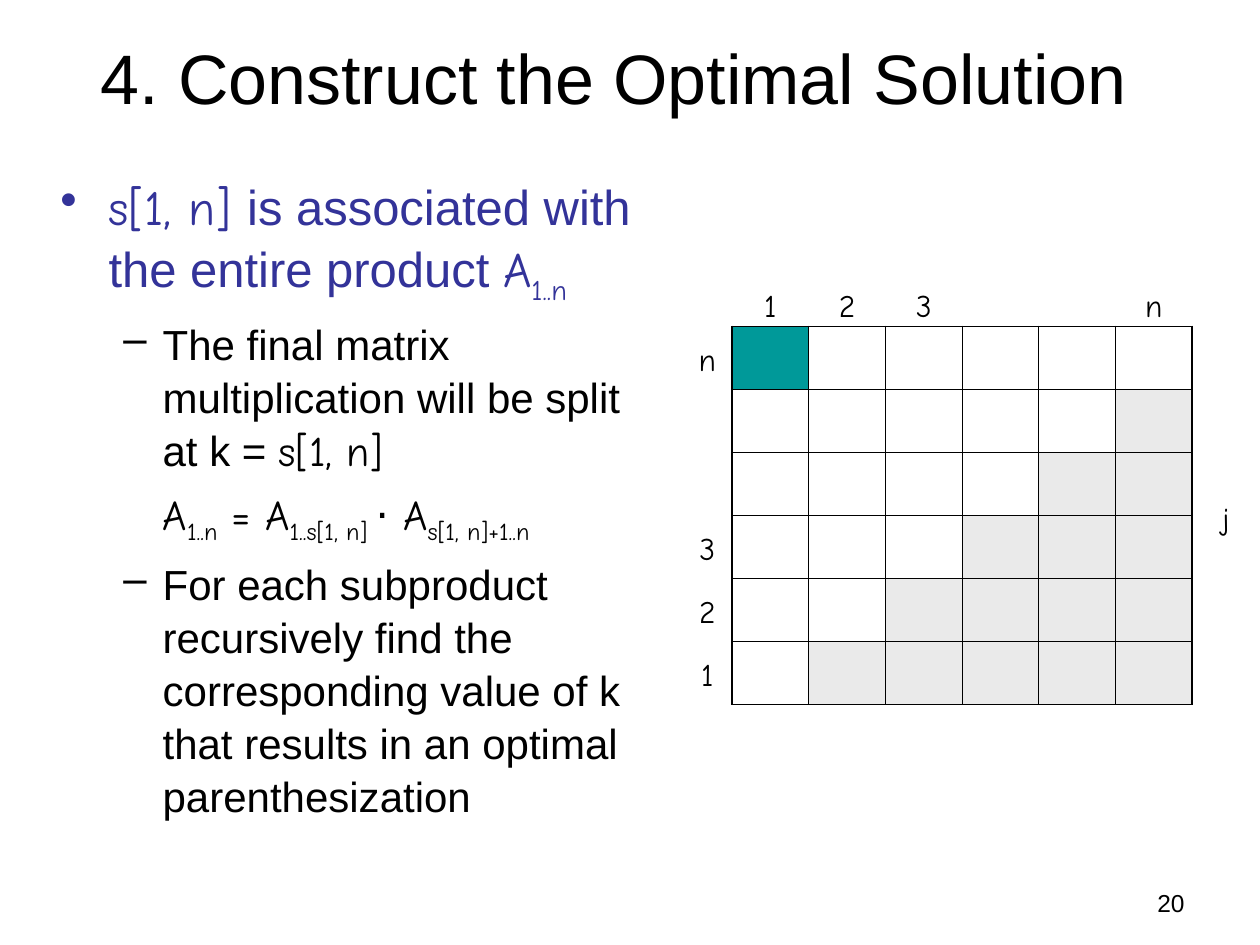
import pptx
import pptx.dml.color
import pptx.enum.text
import pptx.oxml
import pptx.oxml.ns
import pptx.util
from pptx.util import Cm

BLACK = pptx.dml.color.RGBColor(0x00, 0x00, 0x00)
INDIGO = pptx.dml.color.RGBColor(0x33, 0x33, 0x99)
TEAL = pptx.dml.color.RGBColor(0x00, 0x99, 0x99)
GREY = pptx.dml.color.RGBColor(0xEA, 0xEA, 0xEA)
SANS = "Arial"
COMIC = "Comic Neue"
ALIGN = pptx.enum.text.PP_ALIGN


def add_text(left, top, width, height, text, size, font_name, alignment, wrap=True):
    """Add a one-paragraph text box, measured in centimetres."""
    shape = slide.shapes.add_textbox(Cm(left), Cm(top), Cm(width), Cm(height))
    shape.text_frame.word_wrap = wrap
    paragraph = shape.text_frame.paragraphs[0]
    paragraph.text = text
    paragraph.alignment = alignment
    paragraph.font.size = pptx.util.Pt(size)
    paragraph.font.name = font_name
    paragraph.font.color.rgb = BLACK
    return shape


def add_xml(parent, xml):
    """Append a DrawingML element given as text."""
    namespace = pptx.oxml.ns.nsdecls("a")
    parent.append(pptx.oxml.parse_xml(xml.replace(" ", f" {namespace} ", 1)))


presentation = pptx.Presentation()
presentation.slide_width = Cm(25.4)
presentation.slide_height = Cm(19.05)
slide = presentation.slides.add_slide(presentation.slide_layouts[6])

# Slide number and title
add_text(18.21, 17.78, 5.92, 0.89, "20", 14, SANS, ALIGN.RIGHT)
title = add_text(0.94, 0.28, 22.86, 2.51, "4. Construct the Optimal Solution",
                 40, SANS, ALIGN.CENTER)
title.text_frame.vertical_anchor = pptx.enum.text.MSO_ANCHOR.MIDDLE

# Body: bullet, size, colour, space before, left margin, first-line indent,
# and runs of (text, font, subscript)
body_paragraphs = [
    ("•", 28, INDIGO, 7, 0.97, -0.97, [
        ("s[1, n] ", COMIC, False),
        ("is associated with the entire product ", SANS, False),
        ("A", COMIC, False),
        ("1..n", COMIC, True)]),
    ("–", 24, BLACK, 6, 2.06, -0.79, [
        ("The final matrix multiplication will be split at k = ", SANS, False),
        ("s[1, n]", COMIC, False)]),
    (None, 24, BLACK, 6, 2.06, 0, [
        ("A", COMIC, False),
        ("1..n", COMIC, True),
        (" = A", COMIC, False),
        ("1..s[1, n] ", COMIC, True),
        ("⋅", SANS, False),
        (" A", COMIC, False),
        ("s[1, n]+1..n", COMIC, True)]),
    ("–", 24, BLACK, 6, 2.06, -0.79, [
        ("For each subproduct recursively find the corresponding value of k "
         "that results in an optimal parenthesization", SANS, False)]),
]
body = slide.shapes.add_textbox(Cm(0.97), Cm(3.38), Cm(12.45), Cm(14.1)).text_frame
body.word_wrap = True
for index, (bullet, size, color, space, margin, indent, runs) in enumerate(body_paragraphs):
    paragraph = body.add_paragraph() if index else body.paragraphs[0]
    paragraph.level = 1 if index else 0
    paragraph.line_spacing = 1.05
    paragraph.space_before = pptx.util.Pt(space)
    properties = paragraph._p.get_or_add_pPr()
    properties.set("marL", str(Cm(margin)))
    properties.set("indent", str(Cm(indent)))
    if bullet:
        add_xml(properties, f'<a:buClr ><a:srgbClr val="{color}"/></a:buClr>')
        add_xml(properties, f'<a:buChar char="{bullet}"/>')
    paragraph.font.size = pptx.util.Pt(size)
    paragraph.font.color.rgb = color
    for text, font_name, subscript in runs:
        run = paragraph.add_run()
        run.text = text
        run.font.name = font_name
        if subscript:
            run.font._element.set("baseline", "-25000")

# Matrix: teal target cell, grey below the anti-diagonal
COUNT = 6
GRID_LEFT, GRID_TOP = 14.76, 6.58
CELL_WIDTH, CELL_HEIGHT = 1.545, 1.27
frame = slide.shapes.add_table(COUNT, COUNT, Cm(GRID_LEFT), Cm(GRID_TOP),
                               Cm(COUNT * CELL_WIDTH), Cm(COUNT * CELL_HEIGHT))
table = frame.table
table.first_row = False
table.horz_banding = False
for row in range(COUNT):
    for column in range(COUNT):
        cell = table.cell(row, column)
        outer_edges = {"L": column == 0, "R": column == COUNT - 1,
                       "T": row == 0, "B": row == COUNT - 1}
        for side, is_outer in outer_edges.items():
            line_width = pptx.util.Pt(1.08 if is_outer else 0.45)
            add_xml(cell._tc.get_or_add_tcPr(),
                    f'<a:ln{side} w="{line_width}"><a:solidFill><a:srgbClr val="{BLACK}"/>'
                    f'</a:solidFill></a:ln{side}>')
        if row == column == 0:
            cell.fill.solid()
            cell.fill.fore_color.rgb = TEAL
        elif row + column >= COUNT:
            cell.fill.solid()
            cell.fill.fore_color.rgb = GREY
        else:
            cell.fill.background()

# Index labels, centred on their columns and beside their rows
LABEL_WIDTH, LABEL_HEIGHT = 0.85, 1.02
label_places = []
for text, column in [("1", 0), ("2", 1), ("3", 2), ("n", 5)]:
    label_places.append((text, GRID_LEFT + (column + 0.5) * CELL_WIDTH, 5.64))
for text, row in [("n", 0), ("3", 3), ("2", 4), ("1", 5)]:
    label_places.append((text, 14.26, GRID_TOP + row * CELL_HEIGHT + 0.16))
label_places.append(("j", 24.71, 9.93))
for text, center, top in label_places:
    add_text(center - LABEL_WIDTH / 2, top, LABEL_WIDTH, LABEL_HEIGHT,
             text, 18, COMIC, ALIGN.CENTER, wrap=False)

presentation.save("out.pptx")
